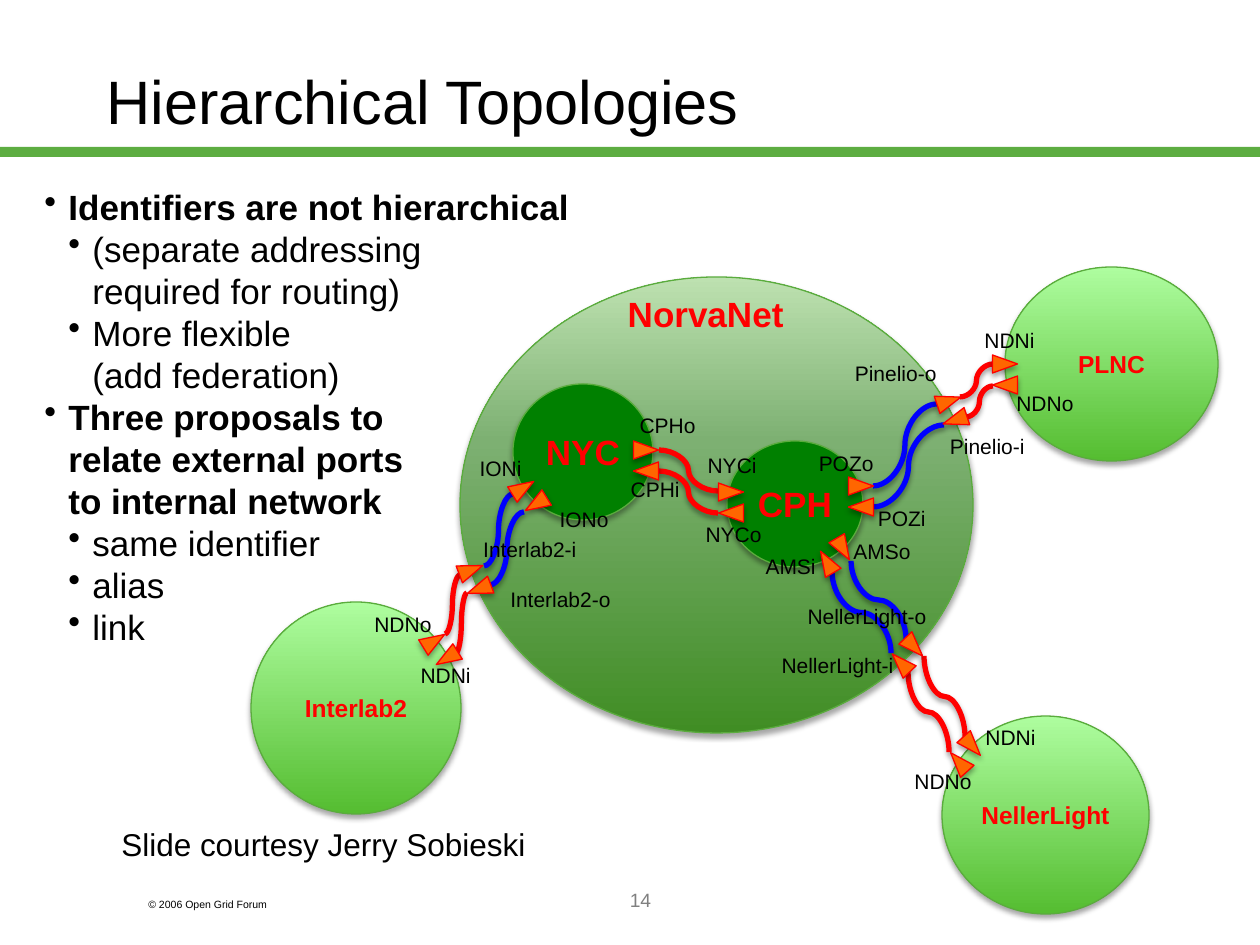
import copy

import pptx
import pptx.dml.color
import pptx.enum.shapes
import pptx.enum.text
import pptx.oxml
import pptx.oxml.ns
import pptx.util

RGB = pptx.dml.color.RGBColor
SHAPE = pptx.enum.shapes.MSO_SHAPE
ALIGN = pptx.enum.text.PP_ALIGN
MIDDLE = pptx.enum.text.MSO_ANCHOR.MIDDLE
qn = pptx.oxml.ns.qn

BLACK = RGB(0x00, 0x00, 0x00)
GREY = RGB(0x80, 0x80, 0x80)
RED = RGB(0xFF, 0x00, 0x00)
BLUE = RGB(0x00, 0x00, 0xFF)
ORANGE = RGB(0xFF, 0x66, 0x00)
BAR_GREEN = RGB(0x5D, 0xAD, 0x41)
EDGE_GREEN = RGB(0x5A, 0xAC, 0x3D)
HUB_GREEN = RGB(0x00, 0x80, 0x00)
# Gradients run from the bottom up: (position, colour)
DOMAIN_FILL = [(0, RGB(0x55, 0xBD, 0x31)), (1, RGB(0xAE, 0xFD, 0x9F))]
CORE_FILL = [(0, RGB(0x40, 0x8D, 0x24)), (0.64, RGB(0x7D, 0xB0, 0x72)),
             (1, RGB(0xBD, 0xE1, 0xB0))]


def px(value):
    return round(value * 914400 / 126)


def write(para, text, size=12, bold=False, colour=BLACK, align=ALIGN.LEFT):
    para.text = text
    para.alignment = align
    for span in para.runs:
        span.font.name = "Arial"
        span.font.size = pptx.util.Pt(size)
        span.font.bold = bold
        span.font.color.rgb = colour


def cast_shadow(effects, alpha):
    shadow = pptx.oxml.parse_xml(
        f'<a:outerShdw {pptx.oxml.ns.nsdecls("a")} blurRad="39370" dist="22860"'
        f' dir="5400000" rotWithShape="0"><a:srgbClr val="000000">'
        f'<a:alpha val="{alpha * 1000}"/></a:srgbClr></a:outerShdw>')
    effects.append(shadow)


class SlideBuilder:
    port_size = (18, 25)

    def __init__(self, page):
        self.page = page

    def text(self, text, left, top, width, height, anchor=None, **style):
        box = self.page.shapes.add_textbox(px(left), px(top), px(width), px(height))
        frame = box.text_frame
        frame.word_wrap = True
        if anchor is not None:
            frame.vertical_anchor = anchor
        write(frame.paragraphs[0], text, **style)
        return box

    def label(self, text, left, top, width, height=38, **style):
        box = self.text(text, left, top, width, height, align=ALIGN.RIGHT, **style)
        box.text_frame.margin_left = 0

    def bullets(self, items, left, top, width, height):
        box = self.page.shapes.add_textbox(px(left), px(top), px(width), px(height))
        frame = box.text_frame
        frame.word_wrap = True
        for index, (level, text) in enumerate(items):
            para = frame.add_paragraph() if index else frame.paragraphs[0]
            para.level = level
            para.line_spacing = pptx.util.Pt(24)
            props = para._p.get_or_add_pPr()
            props.set("marL", str(px(24 * (level + 1))))
            props.set("indent", str(-px(24)))
            bullet = pptx.oxml.parse_xml(
                f'<a:buChar {pptx.oxml.ns.nsdecls("a")} char="•"/>')
            props.append(bullet)
            write(para, text, size=20, bold=level == 0)

    def shape(self, kind, left, top, width, height, fill, edge=None):
        shape = self.page.shapes.add_shape(
            kind, px(left), px(top), px(width), px(height))
        shape.shadow.inherit = False
        if isinstance(fill, list):
            self.gradient(shape, fill)
        else:
            shape.fill.solid()
            shape.fill.fore_color.rgb = fill
        if edge is None:
            shape.line.fill.background()
        else:
            shape.line.color.rgb = edge
            shape.line.width = pptx.util.Pt(0.75)
            cast_shadow(shape._element.spPr.find(qn("a:effectLst")), 35)
        return shape

    def gradient(self, shape, stops):
        shape.fill.gradient()
        shape.fill.gradient_angle = 90
        holder = shape._element.spPr.find(".//" + qn("a:gsLst"))
        while len(holder) < len(stops):
            holder.append(copy.deepcopy(holder[0]))
        for stop, (position, colour) in zip(shape.fill.gradient_stops, stops):
            stop.position = position
            stop.color.rgb = colour

    def circle(self, text, left, top, width, height, fill, size=14):
        shape = self.shape(SHAPE.OVAL, left, top, width, height, fill, EDGE_GREEN)
        frame = shape.text_frame
        frame.margin_left = frame.margin_right = 0
        frame.vertical_anchor = MIDDLE
        if text:
            write(frame.paragraphs[0], text, size=size, bold=True, colour=RED,
                  align=ALIGN.CENTER)

    def port(self, x, y, angle):
        width, height = self.port_size
        shape = self.shape(SHAPE.ISOSCELES_TRIANGLE, x - width / 2, y - height / 2,
                           width, height, ORANGE, RED)
        shape.rotation = angle

    def link(self, x1, y1, x2, y2, colour, upright=False):
        if upright:  # lay the curve on its side, then turn it about its centre
            mid_x, mid_y = (x1 + x2) / 2, (y1 + y2) / 2
            half_w, half_h = (y2 - y1) / 2, (x2 - x1) / 2
            x1, x2 = mid_x + half_w, mid_x - half_w
            y1, y2 = mid_y - half_h, mid_y + half_h
        line = self.page.shapes.add_connector(
            pptx.enum.shapes.MSO_CONNECTOR.CURVE, px(x1), px(y1), px(x2), px(y2))
        line.line.color.rgb = colour
        line.line.width = pptx.util.Pt(3)
        props = line._element.spPr
        if upright:
            props.find(qn("a:xfrm")).set("rot", str(270 * 60000))
        effects = pptx.oxml.parse_xml(f'<a:effectLst {pptx.oxml.ns.nsdecls("a")}/>')
        props.append(effects)
        cast_shadow(effects, 38)


BULLETS = [
    (0, "Identifiers are not hierarchical"),
    (1, "(separate addressing \nrequired for routing)"),
    (1, "More flexible \n(add federation)"),
    (0, "Three proposals to \nrelate external ports \nto internal network"),
    (1, "same identifier"), (1, "alias"), (1, "link"),
]
DOMAINS = [("PLNC", 1005, 267, 213, 194), ("NellerLight", 942, 716, 207, 198),
           ("Interlab2", 251, 602, 210, 212)]
HUBS = [("NYC", 513, 384, 140, 136), ("CPH", 727, 441, 136, 126)]
LINKS = [
    (484, 566, 513, 494, BLUE), (490, 585, 524, 512, BLUE),
    (873, 486, 937, 404, BLUE), (873, 507, 944, 425, BLUE),
    (851, 561, 906, 639, BLUE, True), (832, 572, 891, 653, BLUE, True),
    (659, 450, 718, 491, RED), (659, 471, 718, 513, RED),
    (445, 634, 460, 575, RED), (456, 653, 467, 593, RED),
    (966, 417, 993, 386, RED), (960, 397, 993, 364, RED),
    (924, 656, 965, 737, RED, True), (908, 672, 949, 752, RED, True),
]
# Each pair: centre of one port, centre of the opposite port, direction
PORT_PAIRS = [
    (523, 488, 536, 504, 58.4), (646, 450, 646, 471, 90),
    (731, 492, 731, 513, 90), (861, 486, 861, 507, 90),
    (843, 549, 827, 562, 149.6), (471, 570, 479, 589, 69.4),
    (949, 401, 955, 420, 71.9), (914, 647, 901, 663, 136.4),
    (1005, 364, 1005, 385, 90), (972, 746, 959, 762, 138.2),
    (434, 641, 447, 658, 58.4),
]
LABELS = [
    ("Pinelio-i", 911, 427, 126), ("Pinelio-o", 833, 354, 116),
    ("NellerLight-i", 759, 646, 147), ("NellerLight-o", 785, 597, 154),
    ("Interlab2-i", 462, 530, 127), ("Interlab2-o", 489, 580, 134),
    ("AMSi", 747, 547, 81), ("AMSo", 835, 532, 88),
    ("POZi", 859, 499, 79), ("POZo", 799, 444, 87),
    ("NYCi", 688, 446, 81), ("NYCo", 672, 515, 102),
    ("CPHi", 596, 470, 96), ("CPHo", 620, 406, 88),
    ("IONi", 460, 449, 74), ("IONo", 524, 500, 97),
    ("NDNi", 965, 321, 82), ("NDNo", 997, 384, 89),
    ("NDNi", 401, 656, 82), ("NDNo", 355, 605, 89),
    ("NDNi", 966, 718, 82), ("NDNo", 895, 762, 89),
]


def main():
    deck = pptx.Presentation()
    deck.slide_width, deck.slide_height = px(1260), px(945)
    slide = SlideBuilder(deck.slides.add_slide(deck.slide_layouts[6]))

    # Title, rule and footer
    slide.shape(SHAPE.RECTANGLE, 0, 147, 1260, 10, BAR_GREEN)
    slide.text("© 2006 Open Grid Forum", 136, 892, 189, 25, size=6)
    slide.text("Hierarchical Topologies", 94, 21, 1071, 158, anchor=MIDDLE, size=35)
    slide.text("14", 273, 882, 735, 63, size=11, colour=GREY, align=ALIGN.CENTER)

    # Networks
    slide.circle("", 460, 277, 513, 456, CORE_FILL)
    for domain in DOMAINS:
        slide.circle(*domain, DOMAIN_FILL)
    for hub in HUBS:
        slide.circle(*hub, HUB_GREEN, size=20)
    slide.label("NorvaNet", 610, 286, 186, 55, size=20, bold=True, colour=RED)

    # Links and ports
    for link in LINKS:
        slide.link(*link)
    for x1, y1, x2, y2, angle in PORT_PAIRS:
        slide.port(x1, y1, angle)
        slide.port(x2, y2, angle + 180)

    # Port names
    for label in LABELS:
        slide.label(*label)

    # Credit and bullets
    slide.label("Slide courtesy Jerry Sobieski", 105, 819, 433, 50, size=18)
    slide.bullets(BULLETS, 32, 179, 723, 479)

    deck.save("out.pptx")


if __name__ == "__main__":
    main()
